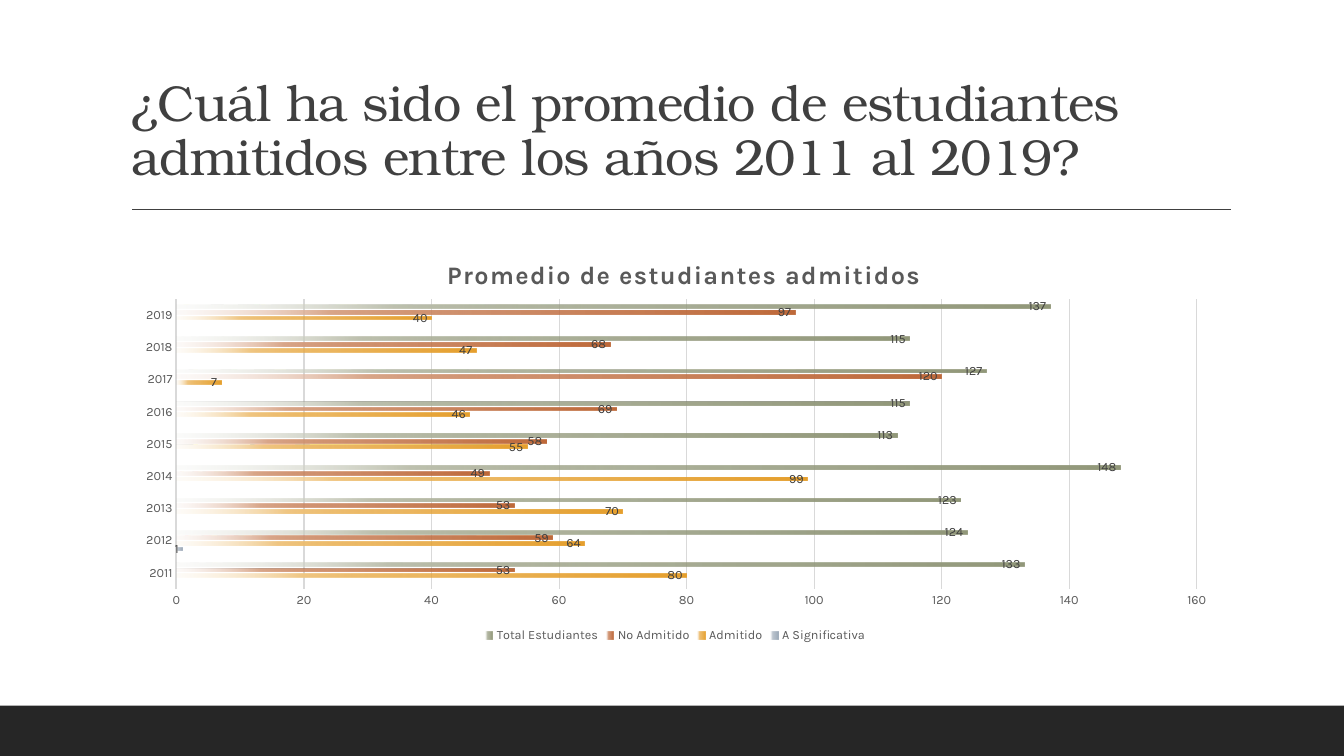
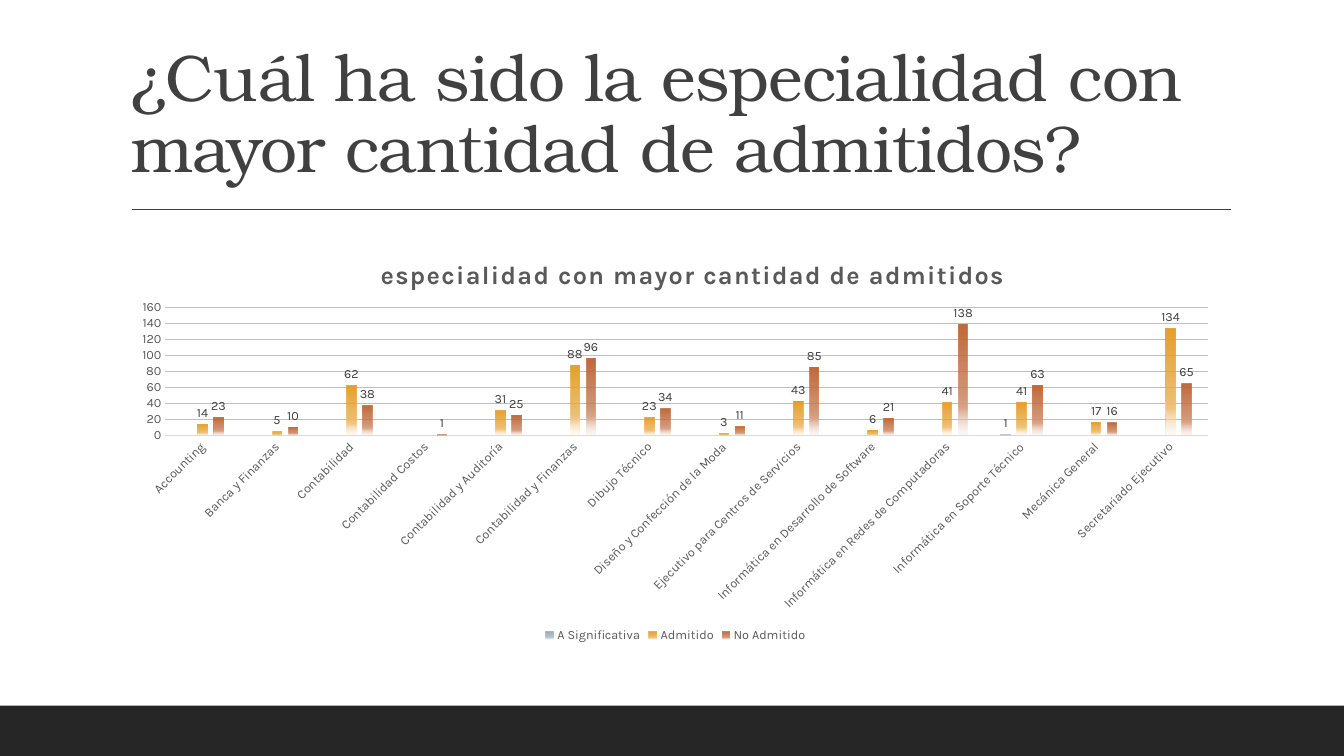
"""Build two slides with charts about students admitted by year and by speciality."""
from dataclasses import dataclass

from pptx import Presentation
from pptx import util as u
from pptx.chart.data import CategoryChartData
from pptx.dml.color import RGBColor
from pptx.enum import chart as charts, shapes, text
from pptx.oxml import parse_xml
from pptx.oxml.ns import nsdecls


@dataclass(frozen=True)
class Theme:
    heading_font: str = "TeX Gyre Bonum"
    body_font: str = "Karla"
    ink: str = "404040"
    muted: str = "595959"
    band: str = "262626"
    axis: str = "D9D9D9"
    chart_title_size: int = 18
    small_size: int = 9


THEME = Theme()
SERIES_COLORS = {
    "A Significativa": "9BA8B7",
    "Admitido": "E6A02E",
    "No Admitido": "BF6A3B",
    "Total Estudiantes": "92987A",
}


def lighten(color, share):
    return "".join(f"{round(c + (255 - c) * share):02X}" for c in bytes.fromhex(color))


def gradient(color, angle):
    stops = [(0, 0, 100), (51, 0, 75), (75, 0.4, 100), (100, 0.8, 15)]
    stops_xml = "".join(
        f'<a:gs pos="{position * 1000}"><a:srgbClr val="{lighten(color, share)}">'
        f'<a:alpha val="{alpha * 1000}"/></a:srgbClr></a:gs>'
        for position, share, alpha in stops
    )
    return parse_xml(
        f'<a:gradFill {nsdecls("a")} rotWithShape="1"><a:gsLst>{stops_xml}</a:gsLst>'
        f'<a:lin ang="{angle * 60000}" scaled="0"/></a:gradFill>'
    )


def place(element, index, target="", **fractions):
    for old in element.xpath("c:layout"):
        element.remove(old)
    target_xml = f'<c:layoutTarget val="{target}"/>' if target else ""
    modes = "".join(f'<c:{name}Mode val="edge"/>' for name in ("x", "y"))
    values = "".join(f'<c:{name} val="{value}"/>' for name, value in fractions.items())
    element.insert(index, parse_xml(
        f'<c:layout {nsdecls("c")}><c:manualLayout>{target_xml}{modes}{values}'
        "</c:manualLayout></c:layout>"
    ))


class Deck:
    def __init__(self, theme):
        self.theme = theme
        self.presentation = Presentation()
        self.presentation.slide_width = u.Inches(13.33)
        self.presentation.slide_height = u.Inches(7.5)
        self.slide = None

    def style(self, font, size, color, name=None, bold=False):
        font.name = name or self.theme.body_font
        font.size = u.Pt(size)
        font.bold = bold
        font.color.rgb = RGBColor.from_string(color)

    def stroke(self, line, color, width):
        line.color.rgb = RGBColor.from_string(color)
        line.width = u.Pt(width)

    def add_slide(self, title, size):
        self.slide = self.presentation.slides.add_slide(self.presentation.slide_layouts[5])
        self.add_band()
        self.add_rule()
        self.add_title(title, size)

    def add_band(self):
        band = self.slide.shapes.add_shape(
            shapes.MSO_SHAPE.RECTANGLE, 0, u.Inches(7), u.Inches(13.33), u.Inches(0.5))
        band.shadow.inherit = False
        band.fill.solid()
        band.fill.fore_color.rgb = RGBColor.from_string(self.theme.band)
        band.line.fill.background()

    def add_rule(self):
        rule = self.slide.shapes.add_connector(
            shapes.MSO_CONNECTOR.STRAIGHT,
            u.Inches(1.31), u.Inches(2.08), u.Inches(12.21), u.Inches(2.08))
        self.stroke(rule.line, self.theme.ink, 1)
        rule.element.spPr.append(parse_xml(f'<a:effectLst {nsdecls("a")}/>'))

    def add_title(self, title, size):
        shape = self.slide.shapes.title
        shape.left, shape.top = u.Inches(1.2), u.Inches(0.31)
        shape.width, shape.height = u.Inches(11), u.Inches(1.59)
        frame = shape.text_frame
        frame.word_wrap = True
        frame.auto_size = text.MSO_AUTO_SIZE.NONE
        frame.vertical_anchor = text.MSO_ANCHOR.BOTTOM
        paragraph = frame.paragraphs[0]
        paragraph.alignment = text.PP_ALIGN.LEFT
        paragraph.line_spacing = 0.9
        self.add_run(paragraph, title, size, self.theme.ink, -50, self.theme.heading_font)

    def add_run(self, paragraph, words, size, color, spacing, name=None, bold=False):
        run = paragraph.add_run()
        run.text = words
        self.style(run.font, size, color, name, bold)
        run._r.get_or_add_rPr().set("spc", str(spacing))

    def add_chart(self, kind, title, title_left, categories, series, plot_area,
                  gap, overlap, angle, label_position, axis_width, grid, rotation=None):
        data = CategoryChartData()
        data.categories = categories
        for name, values in series.items():
            data.add_series(name, values)
        chart = self.slide.shapes.add_chart(
            kind, u.Inches(1.2), u.Inches(2.31), u.Inches(11), u.Inches(4.11), data).chart
        self.style(chart.font, 10, "000000")
        self.add_chart_title(chart, title, title_left)
        self.format_axes(chart, axis_width, grid, rotation)
        chart.has_legend = True
        chart.legend.position = charts.XL_LEGEND_POSITION.BOTTOM
        chart.legend.include_in_layout = False
        self.style(chart.legend.font, self.theme.small_size, self.theme.muted)
        place(chart.element.xpath(".//c:plotArea")[0], 0, "inner", **plot_area)
        self.format_series(chart.plots[0], gap, overlap, label_position)
        for fill, name in zip(chart.element.xpath(".//c:ser/c:spPr/a:gradFill"), series):
            fill.getparent().replace(fill, gradient(SERIES_COLORS[name], angle))

    def add_chart_title(self, chart, title, left):
        chart.has_title = True
        paragraph = chart.chart_title.text_frame.paragraphs[0]
        self.add_run(paragraph, title, self.theme.chart_title_size, self.theme.muted,
                     100, bold=True)
        chart.chart_title.include_in_layout = False
        place(chart.element.xpath("c:chart/c:title")[0], 1, x=left, y=0.05)

    def format_axes(self, chart, axis_width, grid, rotation):
        for axis in (chart.category_axis, chart.value_axis):
            axis.major_tick_mark = axis.minor_tick_mark = charts.XL_TICK_MARK.NONE
            self.style(axis.tick_labels.font, self.theme.small_size, self.theme.muted)
        self.stroke(chart.category_axis.format.line, self.theme.axis, axis_width)
        if rotation is not None:
            body = chart.element.xpath(".//c:catAx/c:txPr/a:bodyPr")[0]
            body.set("rot", str(rotation * 60000))
        value_axis = chart.value_axis
        value_axis.minimum_scale, value_axis.maximum_scale = 0, 160
        value_axis.major_unit = 20
        value_axis.format.line.fill.background()
        value_axis.has_major_gridlines = True
        self.stroke(value_axis.major_gridlines.format.line, grid, 0.75)

    def format_series(self, plot, gap, overlap, label_position):
        plot.vary_by_categories = False
        plot.gap_width = gap
        plot.overlap = overlap
        for series in plot.series:
            series.format.fill.gradient()
            labels = series.data_labels
            labels.show_value = True
            labels.position = label_position
            self.style(labels.font, self.theme.small_size, self.theme.ink)


def main():
    deck = Deck(THEME)
    deck.add_slide(
        "¿Cuál ha sido el promedio de estudiantes admitidos entre los años 2011 al 2019?", 36)
    deck.add_chart(
        charts.XL_CHART_TYPE.BAR_CLUSTERED, "Promedio de estudiantes admitidos", 0.29,
        [str(year) for year in range(2011, 2020)],
        {
            "A Significativa": [None, 1] + [None] * 7,
            "Admitido": [80, 64, 70, 99, 55, 46, 7, 47, 40],
            "No Admitido": [53, 59, 53, 49, 58, 69, 120, 68, 97],
            "Total Estudiantes": [133, 124, 123, 148, 113, 115, 127, 115, 137],
        },
        dict(x=0.05, y=0.16, w=0.92, h=0.7),
        gap=326, overlap=-58, angle=180,
        label_position=charts.XL_LABEL_POSITION.INSIDE_END,
        axis_width=1.5, grid="D9D9D9")

    deck.add_slide("¿Cuál ha sido la especialidad con mayor cantidad de admitidos?", 47)
    deck.add_chart(
        charts.XL_CHART_TYPE.COLUMN_CLUSTERED,
        "especialidad con mayor cantidad de admitidos", 0.23,
        [
            "Accounting", "Banca y Finanzas", "Contabilidad", "Contabilidad Costos",
            "Contabilidad y Auditoría", "Contabilidad y Finanzas", "Dibujo Técnico",
            "Diseño y Confección de la Moda", "Ejecutivo para Centros de Servicios",
            "Informática en Desarrollo de Software", "Informática en Redes de Computadoras",
            "Informática en Soporte Técnico", "Mecánica General", "Secretariado Ejecutivo",
        ],
        {
            "A Significativa": [None] * 11 + [1, None, None],
            "Admitido": [14, 5, 62, None, 31, 88, 23, 3, 43, 6, 41, 41, 17, 134],
            "No Admitido": [23, 10, 38, 1, 25, 96, 34, 11, 85, 21, 138, 63, 16, 65],
        },
        dict(x=0.04, y=0.18, w=0.94, h=0.31),
        gap=355, overlap=-70, angle=90,
        label_position=charts.XL_LABEL_POSITION.OUTSIDE_END,
        axis_width=0.75, grid="BFBFBF", rotation=-45)
    deck.presentation.save("out.pptx")


if __name__ == "__main__":
    main()
